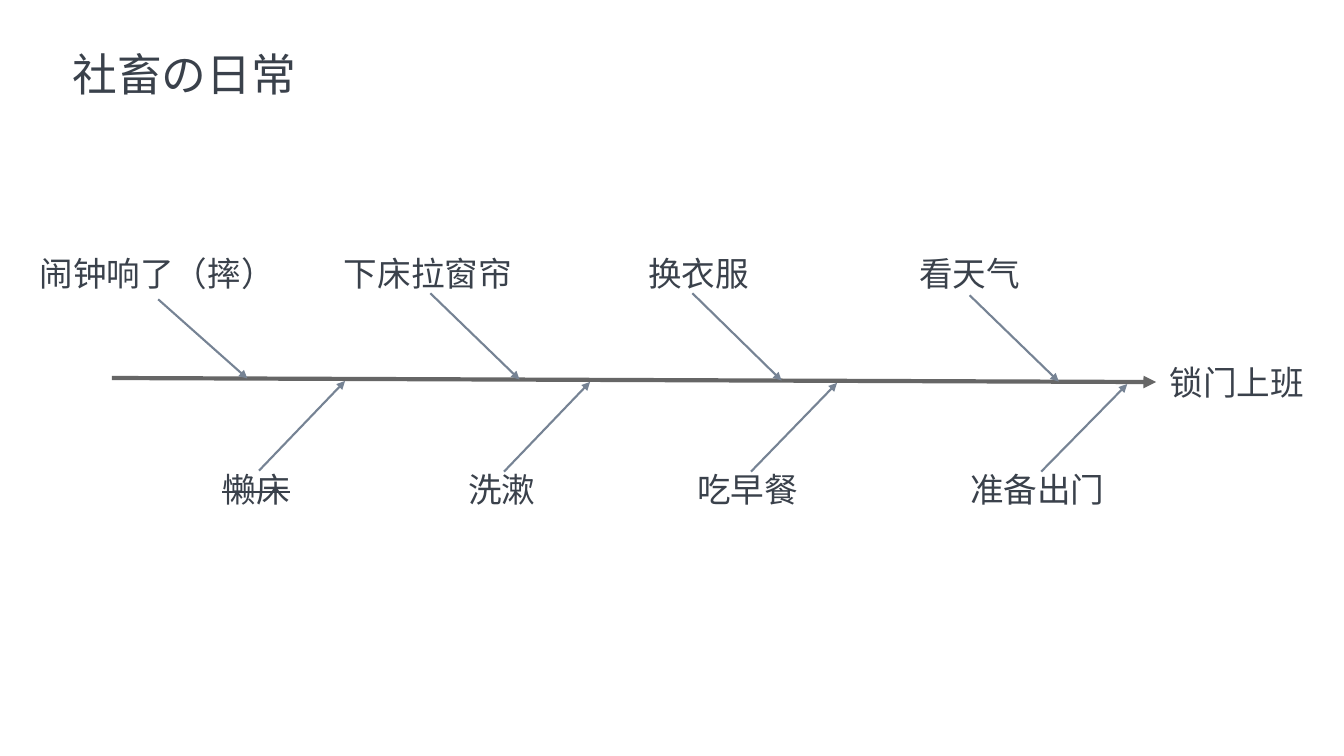
from pptx import Presentation
from pptx.dml.color import RGBColor
from pptx.enum import shapes, text
from pptx.oxml import ns
from pptx.util import Pt
from lxml import etree

INK, SPINE, BONE = "3A414B", "666666", "768394"
LABEL_WIDTH, LABEL_HEIGHT = 187.2, 36

# Label, label left, arrow start x, arrow start y (all within the fishbone box)
UPPER_STEPS = [
    ("闹钟响了（摔）", 0, 94.3, 36.7),
    ("下床拉窗帘", 193.4, 288.7, 32.4),
    ("换衣服", 386.8, 475.9, 32.4),
    ("看天气", 580.2, 673.9, 33.8),
]
LOWER_STEPS = [
    ("懒床", 70.6, 166.3, 159.1),
    ("洗漱", 246.2, 341.3, 159.8),
    ("吃早餐", 421.9, 517.7, 159.8),
    ("准备出门", 628.6, 725, 159.8),
]
CROSSED_OUT = {"懒床"}


def color(value):
    """Turn a hex string into a colour."""
    return RGBColor.from_string(value)


def add_label(page, words, box, size, align):
    """Write one line of text in a box of left, top, width and height."""
    frame = page.shapes.add_textbox(*map(Pt, box)).text_frame
    frame.word_wrap = True
    frame.auto_size = text.MSO_AUTO_SIZE.SHAPE_TO_FIT_TEXT
    para = frame.paragraphs[0]
    para.alignment = align
    para.font.size = Pt(size)
    para.font.name = "Arial"
    para.font.color.rgb = color(INK)
    span = para.add_run()
    span.text = words
    if words in CROSSED_OUT:
        span.font._element.set("strike", "sngStrike")


def add_arrow(page, start, end, stroke, width):
    """Draw a straight arrow between two points."""
    arrow = page.shapes.add_connector(
        shapes.MSO_CONNECTOR.STRAIGHT, *map(Pt, (*start, *end)))
    arrow.line.color.rgb = color(stroke)
    arrow.line.width = Pt(width)
    etree.SubElement(arrow.line._get_or_add_ln(), ns.qn("a:tailEnd"), type="triangle")
    etree.SubElement(arrow._element.spPr, ns.qn("a:effectLst"))


def add_title(page, box):
    """Write the slide title."""
    add_label(page, "社畜の日常", box, 32, text.PP_ALIGN.LEFT)


def add_fishbone(page, box):
    """Draw the spine, its goal and the steps above and below it."""
    left, top, width, height = box
    center = text.PP_ALIGN.CENTER
    tail, head = (left + 61.2, top + 92.9), (left + 807.1, top + 95.8)
    slope = (head[1] - tail[1]) / (head[0] - tail[0])
    add_arrow(page, tail, head, SPINE, 3)
    add_label(page, "锁门上班", (head[0], top + 77.8, left + width - head[0], LABEL_HEIGHT),
              24, center)

    rows = [(UPPER_STEPS, top, 63.7, 0),
            (LOWER_STEPS, top + height - LABEL_HEIGHT, 61.5, 1.5)]
    for steps, label_top, reach, gap in rows:
        for words, label_left, start_x, start_y in steps:
            add_label(page, words, (left + label_left, label_top, LABEL_WIDTH, LABEL_HEIGHT),
                      24, center)
            end_x = left + start_x + reach
            end_y = tail[1] + slope * (end_x - tail[0]) + gap
            add_arrow(page, (left + start_x, top + start_y), (end_x, end_y), BONE, 1.5)


deck = Presentation()
deck.slide_width, deck.slide_height = Pt(960), Pt(540)
page = deck.slides.add_slide(deck.slide_layouts[6])
add_title(page, (44.6, 30.2, 259.2, 46.1))
add_fishbone(page, (18.7, 177.1, 922.3, 190.1))
deck.save("out.pptx")
